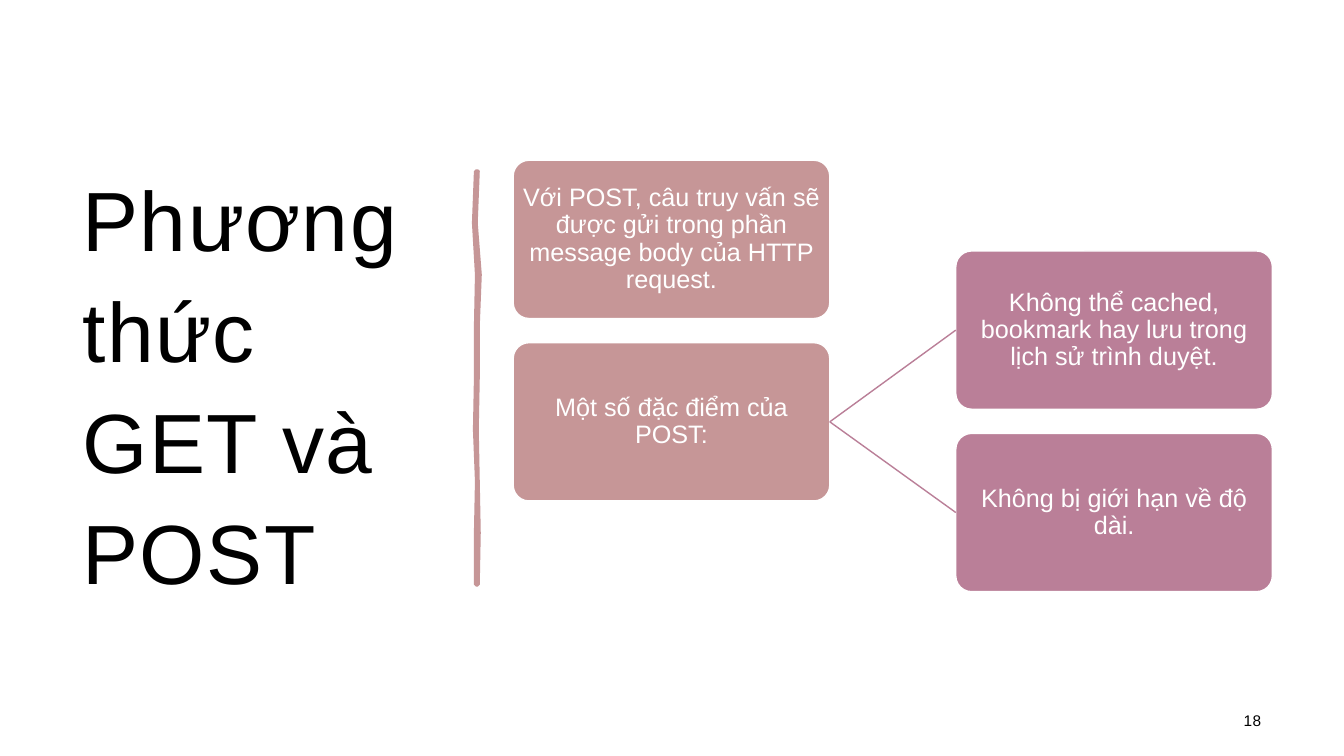
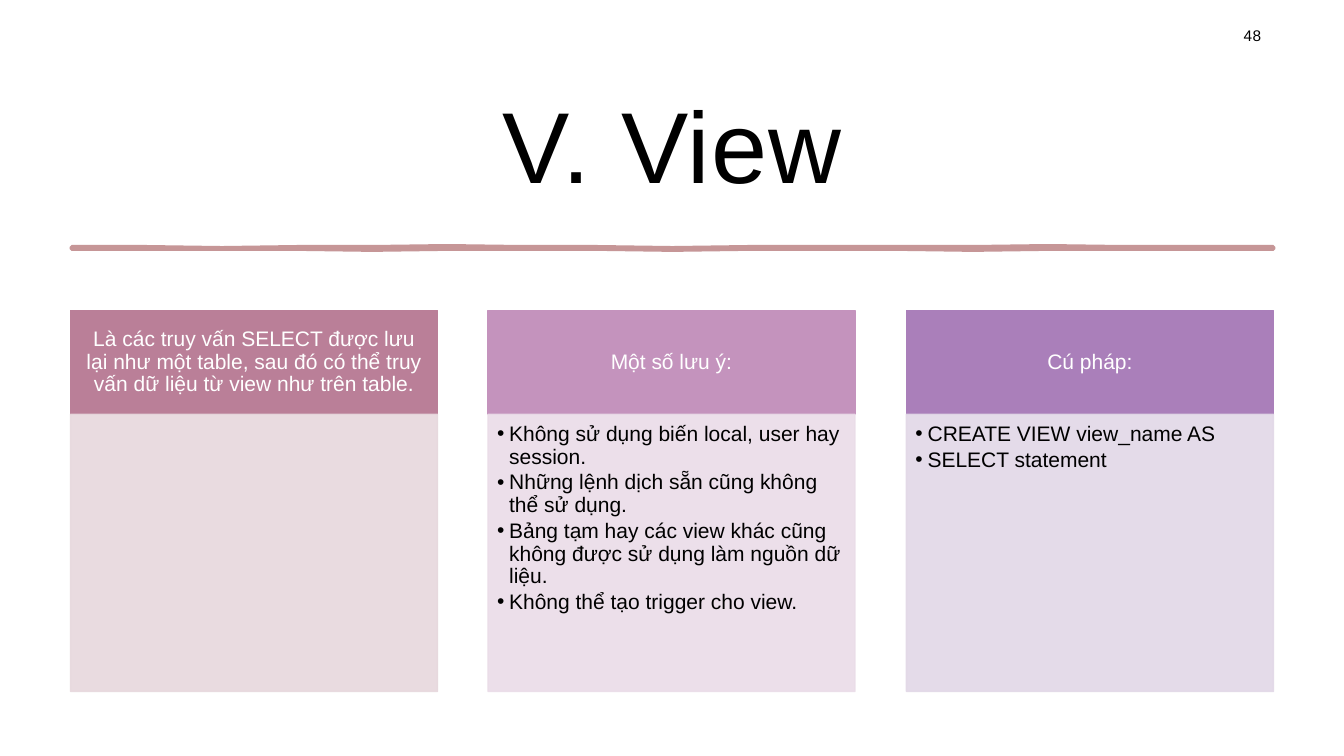
from dataclasses import dataclass

from lxml.etree import SubElement
from pptx import Presentation
from pptx.dml.color import RGBColor
from pptx.enum.shapes import MSO_CONNECTOR as Connector, MSO_SHAPE as Preset
from pptx.enum.text import MSO_ANCHOR as Anchor, PP_ALIGN as Align
from pptx.oxml.ns import qn
from pptx.util import Pt

PX = 9144
SLIDE_SIZE = (1333, 750)


@dataclass(frozen=True)
class Theme:
    """Colours, font and type sizes shared by the slides."""
    font: str = "Arial"
    ink: str = "000000"
    paper: str = "FFFFFF"
    rose: str = "C69697"
    mauve: str = "BA7F98"
    orchid: str = "C493BD"
    violet: str = "AA7FBA"
    mauve_tint: str = "E7D8DD"
    orchid_tint: str = "EADCE8"
    violet_tint: str = "E2D8E7"
    side_title: int = 60
    top_title: int = 72
    node: int = 18
    column: int = 15
    number: int = 11


THEME = Theme()


def px(*lengths):
    """Turn pixel lengths into EMU."""
    return [round(length * PX) for length in lengths]


def rgb(code):
    """Turn a hex code into a colour."""
    return RGBColor.from_string(code)


def set_frame(shape, insets, anchor):
    """Set wrapping, margins and vertical anchor of a shape's text."""
    frame = shape.text_frame
    frame.word_wrap = True
    frame.vertical_anchor = anchor
    (frame.margin_left, frame.margin_top,
     frame.margin_right, frame.margin_bottom) = px(*insets)


def write(para, text, size, color, align=Align.LEFT, leading=0.9, tracking=0, bullet=False):
    """Fill one paragraph and style it."""
    para.text = text
    para.alignment = align
    para.line_spacing = leading
    properties = para._p.get_or_add_pPr()
    if bullet:
        para.space_after = Pt(2.2)
        indent = 12 * PX
        properties.set("marL", str(indent))
        properties.set("indent", str(-indent))
        SubElement(properties, qn("a:buFont"), typeface=THEME.font)
        SubElement(properties, qn("a:buChar"), char="•")
    font = para.font
    font.name = THEME.font
    font.size = Pt(size)
    font.color.rgb = rgb(color)
    if tracking:
        properties.find(qn("a:defRPr")).set("spc", str(tracking))


def add_label(page, area, text, size, **style):
    """Add a text box in the shared title and footer style."""
    box = page.shapes.add_textbox(*px(*area))
    set_frame(box, (12, 12, 12, 10), Anchor.MIDDLE)
    write(box.text_frame.paragraphs[0], text, size, THEME.ink, **style)


def add_page_number(page, top, number):
    """Add the slide number at the right margin."""
    add_label(page, (1063, top, 200, 40), number, THEME.number,
              align=Align.RIGHT, tracking=40)


def paint(shape, fill, line=None, width=1):
    """Give a shape a flat fill and an outline, if any."""
    shape.shadow.inherit = False
    shape.fill.solid()
    shape.fill.fore_color.rgb = rgb(fill)
    if line:
        shape.line.color.rgb = rgb(line)
        shape.line.width = Pt(width)
    else:
        shape.line.fill.background()


def add_backdrop(page):
    """Cover the page with the paper colour."""
    backdrop = page.shapes.add_shape(Preset.RECTANGLE, *px(0, 0, *SLIDE_SIZE))
    paint(backdrop, THEME.paper)


def add_brush_line(page, left, top, length, near, far, vertical=False):
    """Add a hand-drawn rule bounded by two wavering edges."""
    step = length / (len(near) - 1)
    outline = [(index * step, shift) for index, shift in enumerate(near)]
    outline += [(index * step, shift) for index, shift in enumerate(far)][::-1]
    if vertical:
        outline = [(shift, along) for along, shift in outline]
    points = [px(left + x, top + y) for x, y in outline]
    builder = page.shapes.build_freeform(*points[0])
    builder.add_line_segments(points[1:], close=True)
    stroke = builder.convert_to_shape()
    paint(stroke, THEME.rose, THEME.rose, 2.75)
    SubElement(stroke._element.spPr.find(qn("a:ln")), qn("a:round"))


def add_node(page, left, top, text, fill):
    """Add a rounded diagram box."""
    node = page.shapes.add_shape(Preset.ROUNDED_RECTANGLE, *px(left, top, 314, 157))
    node.adjustments[0] = 0.1
    paint(node, fill, THEME.paper)
    set_frame(node, (1, 1, 1, 1), Anchor.MIDDLE)
    write(node.text_frame.paragraphs[0], text, THEME.node, THEME.paper, Align.CENTER)
    return node


def link(page, parent, child):
    """Join the right side of one node to the left side of another."""
    line = page.shapes.add_connector(Connector.STRAIGHT, 0, 0, 0, 0)
    line.begin_connect(parent, 3)
    line.end_connect(child, 1)
    line.line.color.rgb = rgb(THEME.mauve)
    line.line.width = Pt(1)
    SubElement(line._element.spPr, qn("a:effectLst"))


def add_column(page, left, heading, items, fill, tint):
    """Add a heading block with a tinted list below it."""
    head = page.shapes.add_shape(Preset.RECTANGLE, *px(left, 308, 364, 103))
    paint(head, fill, fill)
    set_frame(head, (12, 7, 12, 7), Anchor.MIDDLE)
    write(head.text_frame.paragraphs[0], heading, THEME.column, THEME.paper, Align.CENTER)

    body = page.shapes.add_shape(Preset.RECTANGLE, *px(left, 411, 364, 275))
    paint(body, tint, tint)
    for color in body._element.spPr.iter(qn("a:srgbClr")):
        SubElement(color, qn("a:alpha"), val="90000")
    set_frame(body, (9, 9, 12, 13), Anchor.TOP)
    frame = body.text_frame
    for index, item in enumerate(items):
        para = frame.add_paragraph() if index else frame.paragraphs[0]
        write(para, item, THEME.column, THEME.ink, bullet=True)


def build_post_slide(page):
    """Show the traits of the POST method as a small tree."""
    add_label(page, (70, 70, 374, 611), "Phương thức GET và POST",
              THEME.side_title, leading=1.1, tracking=100)
    add_brush_line(page, 472, 170, 410,
                   near=(0, -2, 1, 0, 0, -1, 1, 0, 0),
                   far=(2, 0, 4, 2, 2, 1, 2, 3, 2), vertical=True)
    add_page_number(page, 695, "18")

    top, pitch = 159, 181
    add_node(page, 509, top,
             "Với POST, câu truy vấn sẽ được gửi trong phần message body của HTTP request.",
             THEME.rose)
    parent = add_node(page, 509, top + pitch, "Một số đặc điểm của POST:", THEME.rose)
    traits = ("Không thể cached, bookmark hay lưu trong lịch sử trình duyệt.",
              "Không bị giới hạn về độ dài.")
    for index, trait in enumerate(traits):
        child = add_node(page, 948, top + pitch // 2 + index * pitch, trait, THEME.mauve)
        link(page, parent, child)


def build_view_slide(page):
    """Show what a view is in three columns."""
    add_label(page, (70, 69, 1194, 144), "V. View", THEME.top_title,
              align=Align.CENTER, leading=1.0, tracking=100)
    add_page_number(page, 15, "48")
    add_brush_line(page, 71, 245, 1192,
                   near=(0, 0, 1, 0, 0, -1, 0, 0, 1, 0, 0, 0, 0, -1, 0, 0, 0),
                   far=(2, 2, 2, 2, 3, 2, 2, 2, 3, 2, 2, 2, 3, 2, 2, 2, 2))

    columns = (
        ("Là các truy vấn SELECT được lưu lại như một table, sau đó có thể truy vấn "
         "dữ liệu từ view như trên table.", (), THEME.mauve, THEME.mauve_tint),
        ("Một số lưu ý:",
         ("Không sử dụng biến local, user hay session.",
          "Những lệnh dịch sẵn cũng không thể sử dụng.",
          "Bảng tạm hay các view khác cũng không được sử dụng làm nguồn dữ liệu.",
          "Không thể tạo trigger cho view."),
         THEME.orchid, THEME.orchid_tint),
        ("Cú pháp:", ("CREATE VIEW view_name AS", "SELECT statement"),
         THEME.violet, THEME.violet_tint),
    )
    for index, column in enumerate(columns):
        add_column(page, 70 + index * 829 // 2, *column)


def main():
    """Build and save the deck."""
    deck = Presentation()
    deck.slide_width, deck.slide_height = px(*SLIDE_SIZE)
    blank = deck.slide_layouts[6]
    for build in (build_post_slide, build_view_slide):
        page = deck.slides.add_slide(blank)
        add_backdrop(page)
        build(page)
    deck.save("out.pptx")


if __name__ == "__main__":
    main()
